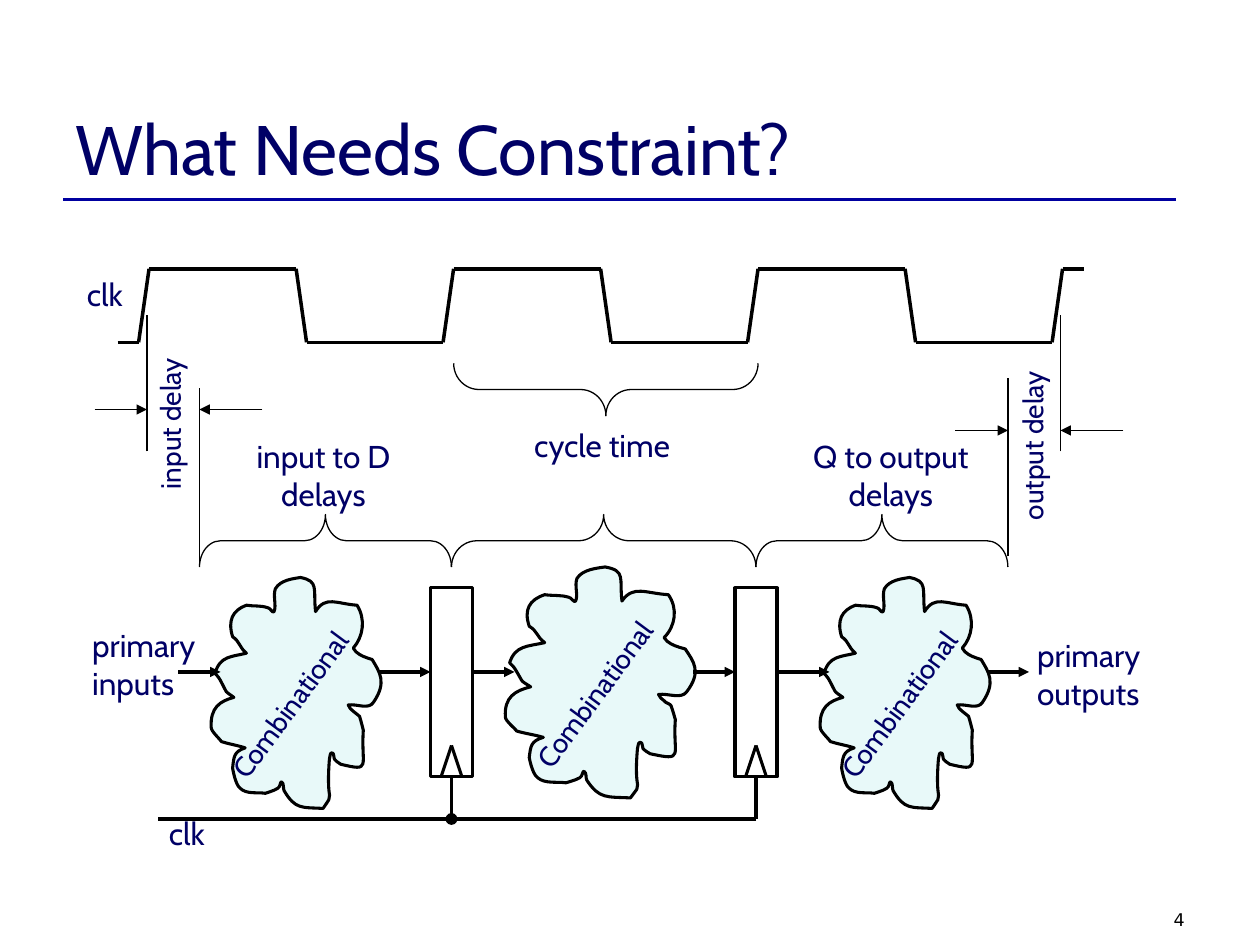
from dataclasses import dataclass

from lxml import etree
from pptx import Presentation
from pptx.dml.color import RGBColor
from pptx.enum.shapes import MSO_CONNECTOR, MSO_SHAPE
from pptx.enum.text import MSO_ANCHOR, MSO_AUTO_SIZE, PP_ALIGN
from pptx.oxml.ns import qn
from pptx.util import Cm, Pt

STRAIGHT = MSO_CONNECTOR.STRAIGHT
RECT, OVAL, BRACE = MSO_SHAPE.RECTANGLE, MSO_SHAPE.OVAL, MSO_SHAPE.RIGHT_BRACE
BOTTOM, FIT = MSO_ANCHOR.BOTTOM, MSO_AUTO_SIZE.SHAPE_TO_FIT_TEXT
LEFT, CENTER, RIGHT = PP_ALIGN.LEFT, PP_ALIGN.CENTER, PP_ALIGN.RIGHT

COLORS = {"text": "000066", "rule": "0000A0", "ink": "000000", "cloud": "33CCCC"}
THIN, MEDIUM, THICK = 0.75, 1.75, 2
GRID = 2.54 / 12  # the drawing sits on a grid of twelve units to the inch


@dataclass
class Label:
    text: str
    x: float
    y: float
    w: float
    h: float = 4.8
    size: int = 18
    align: PP_ALIGN = LEFT
    rot: float = 0
    font: str = "Cabin"
    color: str = "text"
    wrap: bool = False


@dataclass
class Cloud:
    x: float
    y: float
    w: float
    h: float = 22


@dataclass
class Brace:
    x1: float
    x2: float
    top: float
    rot: int


# Cloud outline in hundredths of an inch: start, then three points per curve
CLOUD_CORNER, CLOUD_SIZE = (167, 458), (142, 183)
CLOUD_OUTLINE = [
    (196, 518),
    (190, 513), (191, 509), (185, 505), (181, 492), (185, 484), (196, 480),
    (202, 481), (207, 480), (213, 482), (215, 482), (217, 487), (218, 485),
    (220, 480), (217, 473), (219, 467), (223, 460), (233, 459), (239, 458),
    (254, 461), (249, 467), (251, 485), (259, 472), (268, 479), (284, 480),
    (291, 491), (289, 505), (281, 514), (282, 516), (284, 518), (286, 519),
    (289, 521), (296, 523), (296, 523), (302, 533), (308, 541), (297, 557),
    (293, 563), (284, 558), (277, 559), (278, 561), (279, 563), (281, 564),
    (282, 566), (285, 566), (286, 568), (287, 571), (289, 579), (289, 579),
    (287, 608), (296, 612), (271, 606), (269, 605), (267, 603), (266, 602),
    (265, 600), (266, 597), (264, 597), (262, 597), (263, 600), (262, 602),
    (259, 641), (267, 626), (257, 641), (240, 640), (235, 642), (226, 627),
    (225, 625), (226, 621), (224, 620), (223, 619), (223, 624), (221, 625),
    (218, 627), (211, 629), (211, 629), (205, 628), (196, 630), (191, 625),
    (187, 622), (185, 609), (185, 609), (186, 600), (186, 596), (195, 593),
    (189, 591), (182, 590), (176, 588), (175, 586), (168, 580), (168, 577),
    (167, 561), (175, 556), (186, 553), (178, 547), (182, 552), (175, 539),
    (174, 537), (171, 534), (171, 534), (175, 520), (184, 521), (196, 518),
]


def u(n: float) -> Cm:
    return Cm(n * GRID)


def rgb(name: str) -> RGBColor:
    return RGBColor.from_string(COLORS[name])


def add_line(s, x1, y1, x2, y2, width=THIN, color="ink", arrow=False):
    c = s.shapes.add_connector(STRAIGHT, u(x1), u(y1), u(x2), u(y2))
    c.line.color.rgb = rgb(color)
    c.line.width = Pt(width)
    spPr = c._element.spPr
    if arrow:
        etree.SubElement(spPr.find(qn("a:ln")), qn("a:tailEnd"), type="triangle")
    etree.SubElement(spPr, qn("a:effectLst"))
    return c


def style_shape(sp, width: float, fill: str = "") -> None:
    sp.shadow.inherit = False
    sp.line.color.rgb = rgb("ink")
    sp.line.width = Pt(width)
    if fill:
        sp.fill.solid()
        sp.fill.fore_color.rgb = rgb(fill)
    else:
        sp.fill.background()


def add_label(shapes, label: Label) -> None:
    sp = shapes.add_textbox(u(label.x), u(label.y), u(label.w), u(label.h))
    sp.rotation = label.rot
    tf = sp.text_frame
    tf.word_wrap = label.wrap
    if not label.wrap:
        tf.auto_size = FIT
    tf.vertical_anchor = BOTTOM if label.font == "Cabin" else MSO_ANCHOR.TOP
    tf.text = label.text
    for p in tf.paragraphs:
        p.alignment = label.align
        p.font.name = label.font
        p.font.size = Pt(label.size)
        p.font.color.rgb = rgb(label.color)


def add_brace(s, brace: Brace) -> None:
    depth, length = 5, brace.x2 - brace.x1
    mid_x, mid_y = (brace.x1 + brace.x2) / 2, brace.top + depth / 2
    sp = s.shapes.add_shape(BRACE, u(mid_x - depth / 2), u(mid_y - length / 2),
                            u(depth), u(length))
    sp.rotation = brace.rot
    sp.adjustments[0] = length / 12 / depth
    style_shape(sp, THIN)


def add_cloud(s, cloud: Cloud) -> None:
    (x0, y0), (w0, h0) = CLOUD_CORNER, CLOUD_SIZE
    points = [(u(cloud.x + (x - x0) * cloud.w / w0), u(cloud.y + (y - y0) * cloud.h / h0))
              for x, y in CLOUD_OUTLINE]
    group = s.shapes.add_group_shape()
    builder = group.shapes.build_freeform(*points[0], scale=1.0)
    builder.add_line_segments(points[1:], close=True)
    sp = builder.convert_to_shape()
    style_shape(sp, MEDIUM, "cloud")
    color = next(sp._element.spPr.iter(qn("a:srgbClr")))
    etree.SubElement(color, qn("a:alpha"), val="11000")
    # Turn every three segments into one Bezier curve
    segments = list(sp._element.iter(qn("a:lnTo")))
    for i in range(0, len(segments) - 2, 3):
        curve = etree.Element(qn("a:cubicBezTo"))
        segments[i].addprevious(curve)
        for segment in segments[i:i + 3]:
            curve.append(segment[0])
            segment.getparent().remove(segment)
    w, h = 20.6, 4.4
    add_label(group.shapes, Label("Combinational", cloud.x + (cloud.w - w) / 2 - 0.4,
                                  cloud.y + (cloud.h - h) / 2 + 0.4, w, h, 16, rot=306.5))


def add_register(s, x: float) -> None:
    mid = x + 2
    sp = s.shapes.add_shape(RECT, u(x), u(56), u(4), u(18))
    style_shape(sp, MEDIUM)
    for dx in (-1, 1):
        add_line(s, mid, 71, mid + dx, 74, MEDIUM)
    add_line(s, mid, 74, mid, 78, MEDIUM).begin_connect(sp, 2)


def add_clock(s) -> None:
    high, low, start, period = 25.6, 32.6, 13.2, 29
    wave = [(start - 2, low)]
    for k in range(3):
        x = start + k * period
        wave += [(x, low), (x + 1, high), (x + 15, high), (x + 16, low)]
    end = start + 3 * period
    wave += [(end, low), (end + 1, high), (end + 3, high)]
    for a, b in zip(wave, wave[1:]):
        add_line(s, *a, *b, THICK)


LABELS = [
    Label("What Needs Constraint?", 6, 3.6, 108, 15, 40, wrap=True),
    Label("4", 86, 86, 28, 3, 10, RIGHT, font="DejaVu Sans", color="ink", wrap=True),
    Label("clk", 7.1, 25.6, 6.2),
    Label("clk", 14.9, 76.9, 6.2),
    Label("cycle time", 49.7, 40, 16.3),
    Label("primary\ninputs", 7.6, 59, 13.4, 8.4),
    Label("primary\noutputs", 97.6, 60, 13.4, 8.4),
    Label("input to D\ndelays", 22.6, 41, 16.4, 8.4, align=CENTER),
    Label("Q to output\ndelays", 75.5, 41, 18.7, 8.4, align=CENTER),
    Label("input delay", 8, 37.4, 16.3, 4.4, 16, rot=270),
    Label("output delay", 89.2, 39.4, 18.2, 4.4, 16, rot=270),
]
CLOUDS = [Cloud(20, 55, 17), Cloud(48, 54, 19), Cloud(78, 55, 17)]
BRACES = [Brace(19, 43, 49, 270), Brace(43, 72, 49, 270), Brace(72, 96, 49, 270),
          Brace(43.2, 72.2, 34.6, 90)]
DATA_ARROWS = [(17, 21), (36, 41), (45, 49), (66, 70), (74, 79), (94, 98)]
DELAY_EDGES = [(19, 54, 37), (14, 43, 30), (96, 53, 36), (101, 43, 30)]
DELAY_ARROWS = [(9, 14, 39), (25, 19, 39), (91, 96, 41), (107, 101, 41)]


def main() -> None:
    prs = Presentation()
    prs.slide_width, prs.slide_height = u(120), u(90)
    s = prs.slides.add_slide(prs.slide_layouts[6])
    add_line(s, 6, 19, 112, 19, 1.5, "rule")
    # Logic, registers and data flow
    for cloud in CLOUDS:
        add_cloud(s, cloud)
    for x in (41, 70):
        add_register(s, x)
    for x1, x2 in DATA_ARROWS:
        add_line(s, x1, 64, x2, 64, MEDIUM, arrow=True)
    # Clock net with its junction
    add_line(s, 72, 78, 15, 78, MEDIUM)
    style_shape(s.shapes.add_shape(OVAL, u(42.5), u(77.5), u(1), u(1)), THIN, "ink")
    # Timing waveform, braces and delay markers
    add_clock(s)
    for brace in BRACES:
        add_brace(s, brace)
    for x, y1, y2 in DELAY_EDGES:
        add_line(s, x, y1, x, y2)
    for x1, x2, y in DELAY_ARROWS:
        add_line(s, x1, y, x2, y, arrow=True)
    for label in LABELS:
        add_label(s.shapes, label)
    prs.save("out.pptx")


if __name__ == "__main__":
    main()
